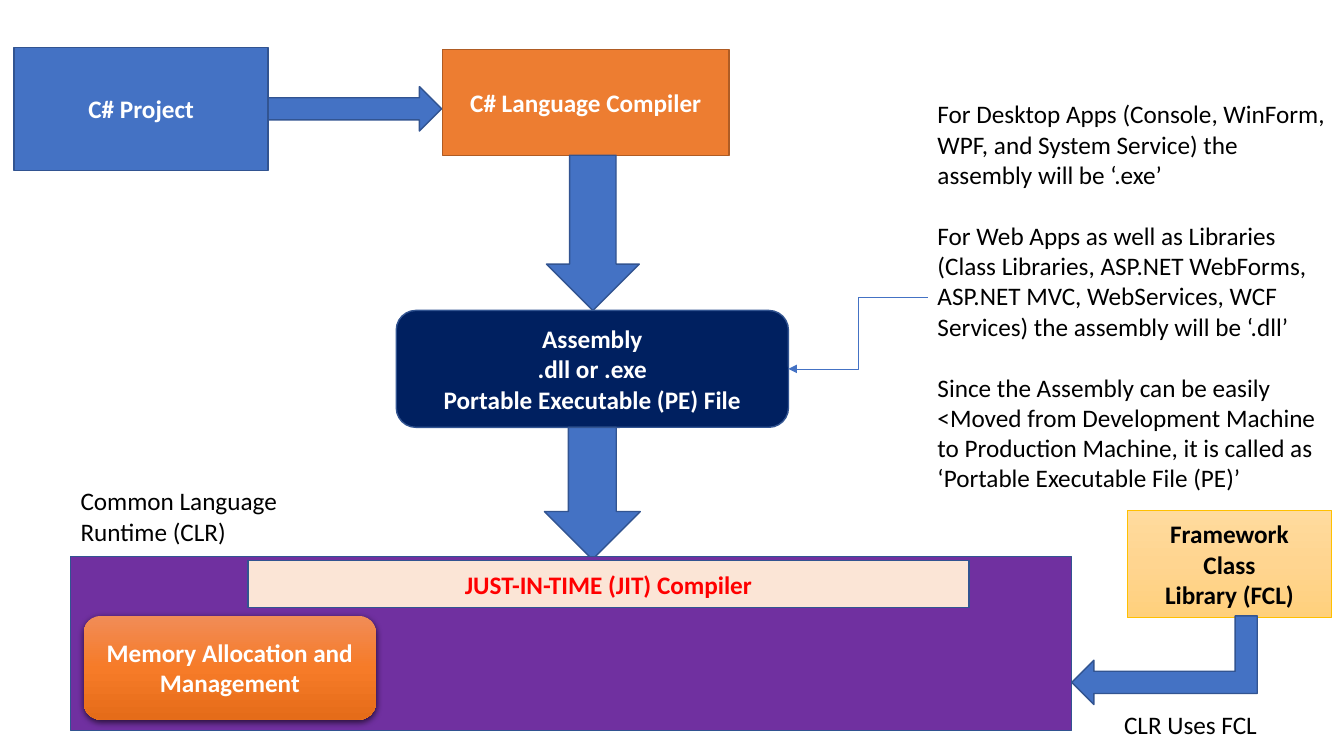
from copy import deepcopy
from dataclasses import dataclass

from lxml.etree import SubElement
from pptx import Presentation
from pptx.dml.color import RGBColor
from pptx.enum.shapes import MSO_CONNECTOR, MSO_SHAPE
from pptx.enum.text import MSO_ANCHOR, MSO_AUTO_SIZE, PP_ALIGN
from pptx.oxml.ns import qn
from pptx.util import Pt

EMU_PER_PX = 9144  # 100 px to the inch
LEFT, RIGHT = 1, 3  # connection sites of a rectangle


def px(length):
    return length * EMU_PER_PX


@dataclass(frozen=True)
class Theme:
    font: str = "Calibri"
    text_size: int = 18
    paragraph_gap: int = 22
    outline_width: float = 1
    thin_width: float = 0.5
    blue: str = "4472C4"
    outline: str = "325491"
    orange: str = "ED7D31"
    orange_outline: str = "AF5C24"
    navy: str = "002060"
    purple: str = "7030A0"
    peach: str = "FBE5D6"
    gold_outline: str = "FFC000"
    gold_gradient: tuple = ("FFDB9E", "FFD590", "FFD07C")
    orange_gradient: tuple = ("F18C57", "F67B28", "E56C19")
    white: str = "FFFFFF"
    black: str = "000000"
    red: str = "FF0000"


class DiagramBuilder:
    def __init__(self, slide, theme):
        self.slide = slide
        self.theme = theme

    def add_lines(self, shape, lines, color, bold=False, align=PP_ALIGN.LEFT, gap=0):
        frame = shape.text_frame
        frame.word_wrap = True
        for index, line in enumerate(lines):
            paragraph = frame.add_paragraph() if index else frame.paragraphs[0]
            paragraph.alignment = align
            if index:
                paragraph.space_before = Pt(gap)
            run = paragraph.add_run()
            run.text = line
            run.font.name = self.theme.font
            run.font.size = Pt(self.theme.text_size)
            run.font.bold = bold
            run.font.color.rgb = RGBColor.from_string(color)

    def paint(self, shape, fill):
        """Fill with one colour, or with a top-to-bottom gradient of three."""
        if isinstance(fill, str):
            shape.fill.solid()
            shape.fill.fore_color.rgb = RGBColor.from_string(fill)
            return
        shape.fill.gradient()
        shape.fill.gradient_angle = 270
        stop_list = shape.element.spPr.find(".//" + qn("a:gsLst"))
        stop_list.append(deepcopy(stop_list[-1]))
        for index, (stop, color) in enumerate(zip(shape.fill.gradient_stops, fill)):
            stop.position = index / 2
            stop.color.rgb = RGBColor.from_string(color)

    def box(self, kind, bounds, fill, lines=(), color=None, outline=None, width=None):
        shape = self.slide.shapes.add_shape(kind, *map(px, bounds))
        shape.shadow.inherit = False
        self.paint(shape, fill)
        shape.line.color.rgb = RGBColor.from_string(outline or self.theme.outline)
        shape.line.width = Pt(width or self.theme.outline_width)
        shape.text_frame.vertical_anchor = MSO_ANCHOR.MIDDLE
        self.add_lines(shape, lines, color or self.theme.white, True, PP_ALIGN.CENTER)
        return shape

    def block_arrow(self, kind, bounds):
        return self.box(kind, bounds, self.theme.blue)

    def label(self, bounds, *paragraphs):
        shape = self.slide.shapes.add_textbox(*map(px, bounds))
        self.add_lines(shape, paragraphs, self.theme.black, gap=self.theme.paragraph_gap)
        shape.text_frame.auto_size = MSO_AUTO_SIZE.SHAPE_TO_FIT_TEXT
        return shape

    def elbow_arrow(self, source, source_site, target, target_site):
        connector = self.slide.shapes.add_connector(MSO_CONNECTOR.ELBOW, 0, 0, 0, 0)
        connector.begin_connect(source, source_site)
        connector.end_connect(target, target_site)
        connector.line.color.rgb = RGBColor.from_string(self.theme.blue)
        connector.line.width = Pt(self.theme.thin_width)
        properties = connector.element.spPr
        SubElement(properties.find(qn("a:ln")), qn("a:tailEnd"), type="triangle")
        SubElement(properties, qn("a:effectLst"))

    def drop_shadow(self, shape):
        effects = shape.element.spPr.find(qn("a:effectLst"))
        shadow = SubElement(effects, qn("a:outerShdw"), blurRad=str(int(Pt(4.5))),
                            dist=str(int(Pt(1.5))), dir="5400000", rotWithShape="0")
        color = SubElement(shadow, qn("a:srgbClr"), val=self.theme.black)
        SubElement(color, qn("a:alpha"), val="63000")


def main():
    presentation = Presentation()
    presentation.slide_width, presentation.slide_height = px(1333), px(750)
    slide = presentation.slides.add_slide(presentation.slide_layouts[6])
    theme = Theme()
    diagram = DiagramBuilder(slide, theme)

    # Project and compiler
    diagram.box(MSO_SHAPE.RECTANGLE, (14, 47, 252, 122), theme.blue, ["C# Project"])
    diagram.block_arrow(MSO_SHAPE.RIGHT_ARROW, (266, 86, 172, 44))
    diagram.box(MSO_SHAPE.RECTANGLE, (439, 49, 284, 105), theme.orange,
                ["C# Language Compiler"], outline=theme.orange_outline)
    diagram.block_arrow(MSO_SHAPE.DOWN_ARROW, (542, 154, 92, 154))

    # Assembly and its explanation
    assembly = diagram.box(
        MSO_SHAPE.ROUNDED_RECTANGLE, (393, 308, 389, 116), theme.navy,
        ["Assembly", ".dll or .exe", "Portable Executable (PE) File"])
    explanation = diagram.label(
        (920, 93, 413, 404),
        "For Desktop Apps (Console, WinForm, WPF, and System Service) the "
        "assembly will be ‘.exe’",
        "For Web Apps as well as Libraries (Class Libraries, ASP.NET WebForms, "
        "ASP.NET MVC, WebServices, WCF Services) the assembly will be ‘.dll’",
        "Since the Assembly can be easily <Moved from Development Machine to "
        "Production Machine, it is called as ‘Portable Executable File (PE)’")
    diagram.elbow_arrow(explanation, LEFT, assembly, RIGHT)
    diagram.block_arrow(MSO_SHAPE.DOWN_ARROW, (540, 424, 95, 131))

    # Runtime
    diagram.box(MSO_SHAPE.RECTANGLE, (70, 552, 993, 173), theme.purple)
    diagram.label((70, 477, 302, 71), "Common Language Runtime (CLR)")

    # Class library
    diagram.box(MSO_SHAPE.RECTANGLE, (1118, 506, 203, 107), theme.gold_gradient,
                ["Framework", "Class", "Library (FCL)"], theme.black,
                theme.gold_outline, theme.thin_width)
    library_arrow = diagram.block_arrow(MSO_SHAPE.BENT_UP_ARROW, (1111, 563, 88, 184))
    library_arrow.rotation = 270
    library_arrow.element.spPr.find(qn("a:xfrm")).set("flipH", "1")
    diagram.label((1105, 699, 203, 40), "CLR Uses FCL")

    # Parts inside the runtime
    diagram.box(MSO_SHAPE.RECTANGLE, (246, 556, 715, 47), theme.peach,
                ["JUST-IN-TIME (JIT) Compiler"], theme.red)
    memory = diagram.box(MSO_SHAPE.ROUNDED_RECTANGLE, (83, 611, 290, 103),
                         theme.orange_gradient, ["Memory Allocation and Management"])
    memory.line.fill.background()
    diagram.drop_shadow(memory)

    presentation.save("out.pptx")


if __name__ == "__main__":
    main()
